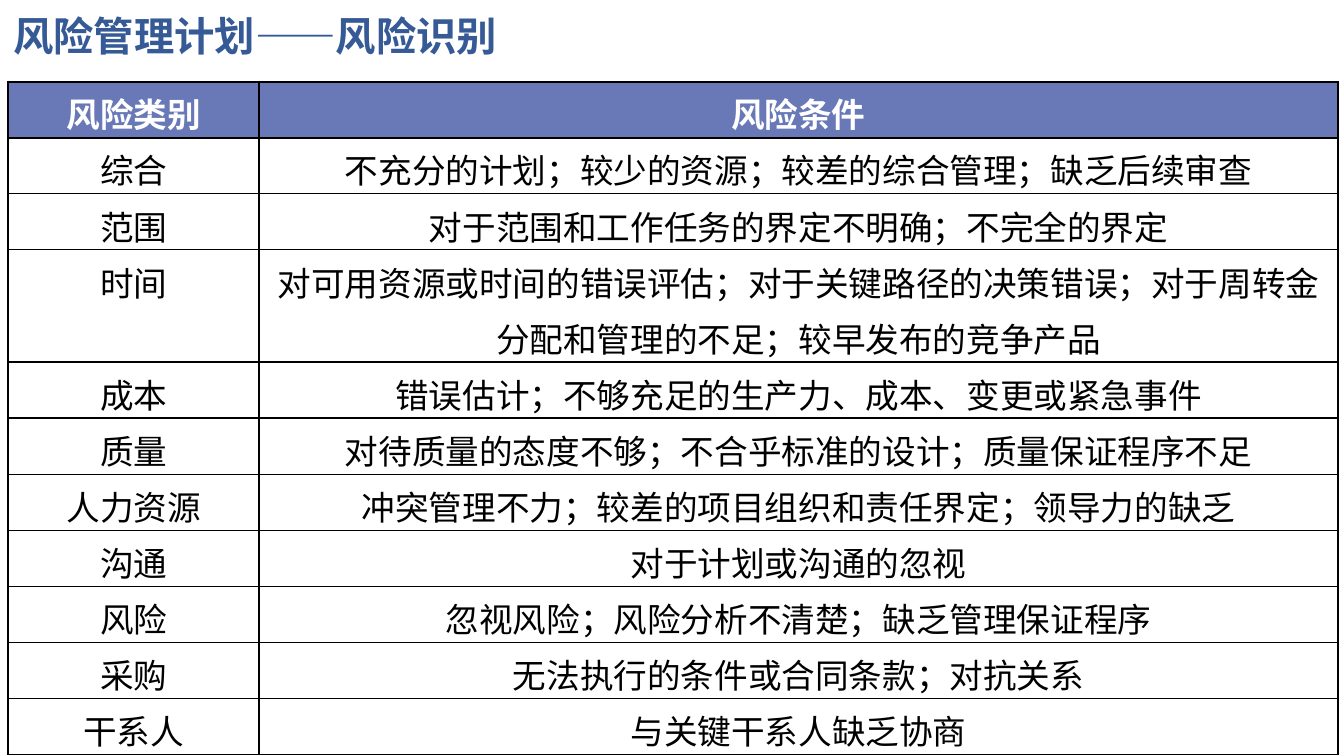
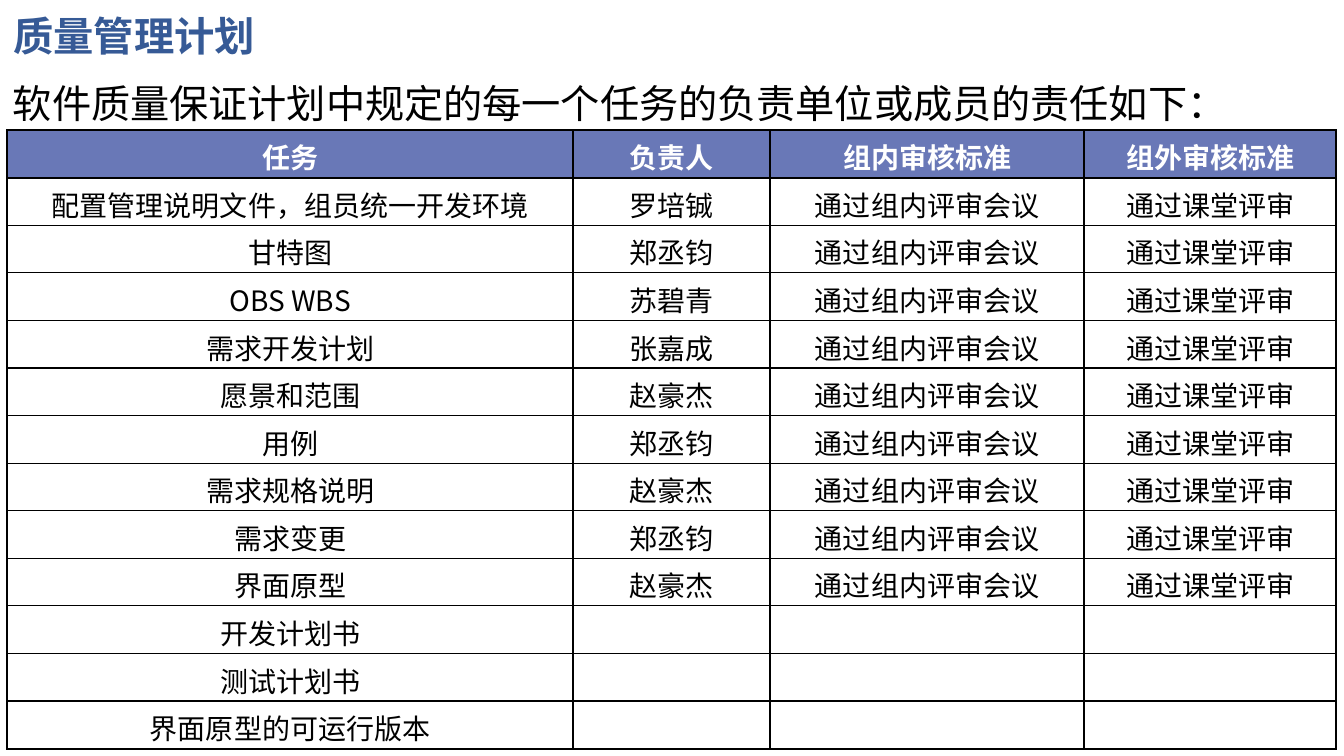
from lxml import etree
from pptx import Presentation
from pptx.dml.color import RGBColor
from pptx.enum.text import MSO_ANCHOR, MSO_AUTO_SIZE, PP_ALIGN
from pptx.oxml import parse_xml
from pptx.oxml.ns import nsdecls, qn
from pptx.util import Pt

LEFT, CENTER = PP_ALIGN.LEFT, PP_ALIGN.CENTER
TOP, MIDDLE = MSO_ANCHOR.TOP, MSO_ANCHOR.MIDDLE
GROW, FIXED = MSO_AUTO_SIZE.SHAPE_TO_FIT_TEXT, MSO_AUTO_SIZE.NONE

# Shared style
BLUE, HEAD, WHITE, BLACK = "365A96", "6978B7", "FFFFFF", "000000"
SANS, SERIF, TITLE = "Noto Sans CJK SC", "Cambria", "Montserrat"
THICK, THIN = 1.5, 1


def write(para, text, size, face, color, bold=False):
    run = para.add_run()
    run.text = text
    font = run.font
    font.size, font.bold, font.name = Pt(size), bold, face
    font.color.rgb = RGBColor.from_string(color)
    etree.SubElement(run._r.get_or_add_rPr(), qn("a:ea")).set("typeface", SANS)


def edge(cell, side, width):
    cell._tc.get_or_add_tcPr().append(parse_xml(
        f'<a:ln{side} {nsdecls("a")} w="{Pt(width)}"><a:solidFill>'
        f'<a:srgbClr val="{BLACK}"/></a:solidFill></a:ln{side}>'))


# Content: a bar in a cell splits its text into runs
risks = [
    ("风险类别", "风险|条件"),
    ("综合", "不充分的计划；较少的资源；较差的综合管理；缺乏后续审查"),
    ("范围", "对于范围和工作任务的界定不明确；不完全的界定"),
    ("时间", "对可用资源或时间的错误评估；对于关键路径的决策错误；"
     "对于周转金分配和管理的不足；较早发布的竞争产品"),
    ("成本", "错误估计；不够充足的生产力、成本、变更或紧急事件"),
    ("质量", "对待质量的态度不够；不合乎标准的设计；质量保证程序不足"),
    ("人力资源", "冲突管理不力；较差的项目组织和责任界定；领导力的缺乏"),
    ("沟通", "对于计划或沟通的忽视"),
    ("风险", "忽视风险；风险分析不清楚；缺乏管理保证程序"),
    ("采购", "无法执行的条件或合同条款；对抗关系"),
    ("干系人", "与关键干系人缺乏协商"),
]
owners = [
    ("配置管理说明文件，组员统一开发环境", "罗培铖"),
    ("甘特图", "郑丞钧"),
    ("OBS WBS", "苏碧青"),
    ("需求开发计划", "张嘉成"),
    ("愿景和范围", "赵豪杰"),
    ("用例", "郑丞钧"),
    ("需求规格说明", "赵豪杰"),
    ("需求变更", "郑丞钧"),
    ("界面原型", "赵豪杰"),
]
plans = ["开发计划书", "测试计划书", "界面原型的可运行版本"]
tasks = [("任务", "负责人", "组内审核标准", "组外审核标准")]
tasks += [(*pair, "通过组内评审会议", "通过课堂评审") for pair in owners]
tasks += [(plan, "", "", "") for plan in plans]
lead = "软件质量保证计划中规定的每一个任务的负责单位或成员的责任如下："
serifs = {"条件", owners[0][0], plans[-1]}

# Title, lead line, table left and top, column widths, row height,
# double rows, text size, body font, header anchor, rows
pages = [
    ("风险管理计划——风险识别", "", 5.8, 58.3, (179.3, 770.4), 39.36,
     {3}, 24, SERIF, MIDDLE, risks),
    ("质量管理计划", lead, 5, 92.9, (404.6, 140.4, 224.6, 180), 34,
     set(), 20, SANS, TOP, tasks),
]

deck = Presentation()
deck.slide_width, deck.slide_height = Pt(960), Pt(540)

for name, intro, left, top, cols, step, tall, size, body, anchor, rows in pages:
    slide = deck.slides.add_slide(deck.slide_layouts[5])

    # Title
    title = slide.shapes.title
    title.left, title.top, title.width, title.height = (
        Pt(2.2), Pt(7.2), Pt(828), Pt(41))
    frame = title.text_frame
    frame.auto_size, frame.vertical_anchor = FIXED, MIDDLE
    para = frame.paragraphs[0]
    para.alignment, para.line_spacing = LEFT, 0.9
    write(para, name, 28.8, TITLE, BLUE, True)

    # Lead line
    if intro:
        box = slide.shapes.add_textbox(Pt(2.2), Pt(48.2), Pt(931), Pt(46))
        frame = box.text_frame
        frame.word_wrap, frame.auto_size = True, GROW
        para = frame.paragraphs[0]
        para.line_spacing, para.space_after = 1.15, Pt(10)
        write(para, intro, 28, SERIF, BLACK)

    # Table grid
    high = step * (len(rows) + len(tall))
    grid = slide.shapes.add_table(
        len(rows), len(cols), Pt(left), Pt(top), Pt(sum(cols)), Pt(high)).table
    grid.first_row = grid.horz_banding = False
    for col, width in zip(grid.columns, cols):
        col.width = Pt(width)

    # Table cells
    for r, row in enumerate(rows):
        grid.rows[r].height = Pt(step * (2 if r in tall else 1))
        first, last = r == 0, r == len(rows) - 1
        for c, text in enumerate(row):
            cell = grid.cell(r, c)
            cell.margin_left = cell.margin_right = Pt(5)
            cell.margin_top = cell.margin_bottom = Pt(0)
            cell.vertical_anchor = anchor if first else TOP
            edge(cell, "L", THICK)
            edge(cell, "R", THICK)
            edge(cell, "T", THICK if r < 2 else THIN)
            edge(cell, "B", THICK if first or last else THIN)
            if first:
                cell.fill.solid()
                cell.fill.fore_color.rgb = RGBColor.from_string(HEAD)
            else:
                cell.fill.background()
            if text:
                para = cell.text_frame.paragraphs[0]
                para.alignment = CENTER
                para.line_spacing, para.space_after = 1.15, Pt(10)
                for part in text.split("|"):
                    face = SERIF if part in serifs else SANS if first else body
                    write(para, part, size, face, WHITE if first else BLACK, first)

deck.save("out.pptx")
